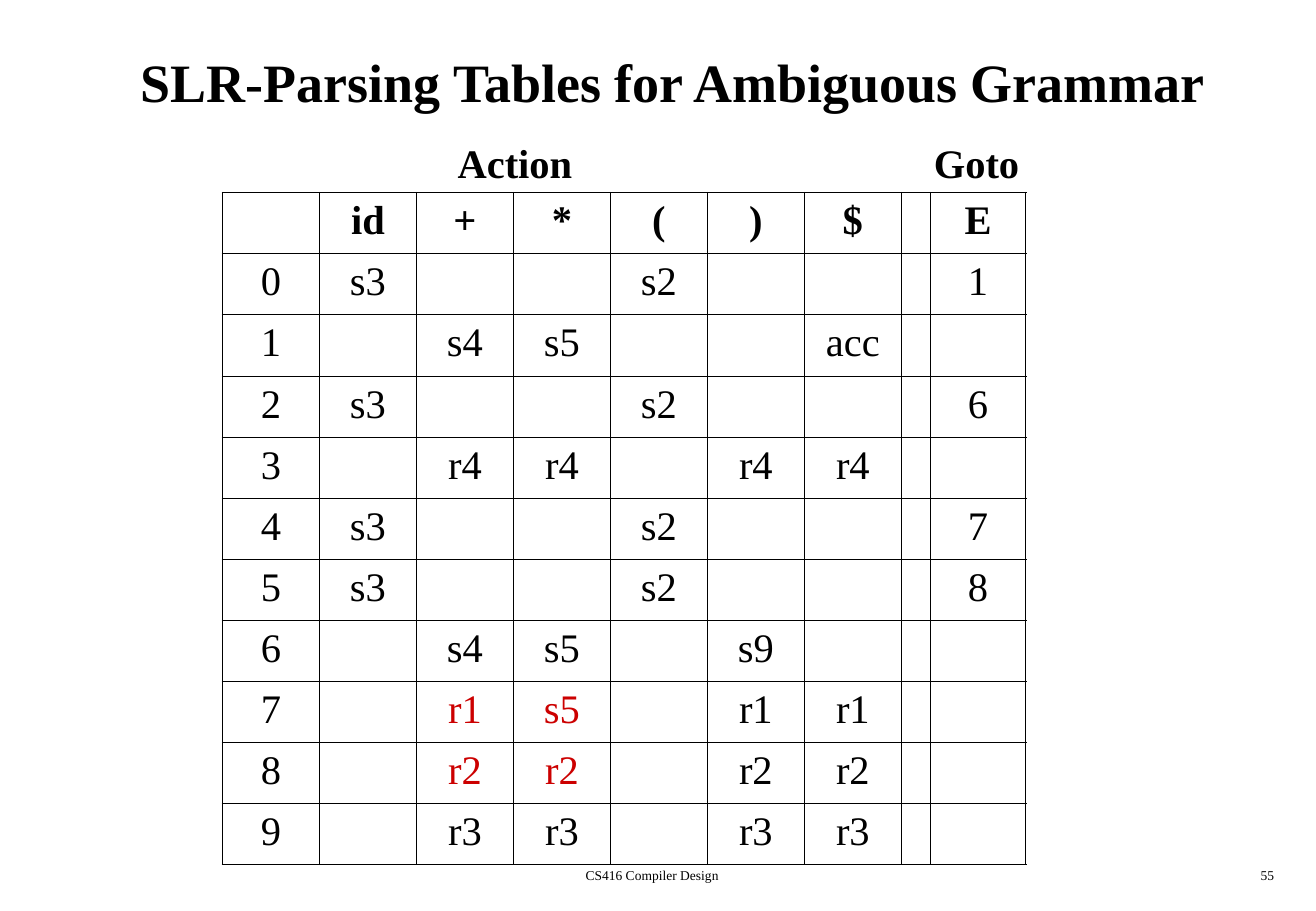
"""Builds the slide with the SLR parsing table of an ambiguous expression grammar."""
from dataclasses import dataclass, field

from lxml import etree
from pptx import Presentation
from pptx import util as u
from pptx.dml.color import RGBColor
from pptx.enum import text
from pptx.oxml import ns
from pptx.slide import Slide
from pptx.table import _Cell
from pptx.text.text import TextFrame


@dataclass(frozen=True)
class Theme:
    font: str = "Times New Roman"
    ink: RGBColor = RGBColor(0, 0, 0)
    conflict: RGBColor = RGBColor(0xCC, 0, 0)
    title_size: float = 32
    body_size: float = 24
    footer_size: float = 8
    inner_line: float = 0.45
    outer_line: float = 1.08


@dataclass(frozen=True)
class Label:
    words: str
    left: float
    top: float
    width: float
    height: float
    size: float
    bold: bool = False
    wrap: bool = True
    align: text.PP_ALIGN = text.PP_ALIGN.CENTER
    anchor: text.MSO_ANCHOR = text.MSO_ANCHOR.TOP


@dataclass(frozen=True)
class State:
    actions: dict[str, str]
    goto: str = ""
    conflicts: set[str] = field(default_factory=set)


THEME = Theme()
SLIDE_WIDTH, SLIDE_HEIGHT = 780.13, 540
TABLE_LEFT, TABLE_TOP = 131.9, 114.2
STATE_WIDTH, GAP_WIDTH, GOTO_WIDTH = 57.5, 17, 56.5
ROW_HEIGHT = 36.2
TERMINALS = ["id", "+", "*", "(", ")", "$"]
HEADER = ["", *TERMINALS, "", "E"]
WIDTHS = [STATE_WIDTH] * (1 + len(TERMINALS)) + [GAP_WIDTH, GOTO_WIDTH]

LEFT, RIGHT = text.PP_ALIGN.LEFT, text.PP_ALIGN.RIGHT
LABELS = [
    Label("SLR-Parsing Tables for Ambiguous Grammar", 30.2, 12.2, 738, 72,
          THEME.title_size, bold=True, anchor=text.MSO_ANCHOR.MIDDLE),
    Label("Action", 264.2, 78.1, 83.5, 36, THEME.body_size, True, False, LEFT),
    Label("Goto", 546.5, 78.1, 66.5, 36, THEME.body_size, True, False, LEFT),
    Label("CS416 Compiler Design", 240.5, 510.5, 292.3, 18, THEME.footer_size),
    Label("55", 599.8, 510.5, 162.7, 18, THEME.footer_size, align=RIGHT),
]


def reduce_by(rule: str) -> dict[str, str]:
    """Return the same reduction for every terminal that may follow E."""
    return dict.fromkeys(["+", "*", ")", "$"], rule)


OPERAND = {"id": "s3", "(": "s2"}
OPERATOR = {"+": "s4", "*": "s5"}
STATES = [
    State(OPERAND, "1"),
    State(OPERATOR | {"$": "acc"}),
    State(OPERAND, "6"),
    State(reduce_by("r4")),
    State(OPERAND, "7"),
    State(OPERAND, "8"),
    State(OPERATOR | {")": "s9"}),
    State(reduce_by("r1") | {"*": "s5"}, conflicts={"+", "*"}),
    State(reduce_by("r2"), conflicts={"+", "*"}),
    State(reduce_by("r3")),
]


def write(frame: TextFrame, words: str, size: float, bold: bool,
          align: text.PP_ALIGN, color: RGBColor) -> None:
    """Put one formatted line of text into a frame."""
    para = frame.paragraphs[0]
    para.alignment = align
    span = para.add_run()
    span.text = words
    formats = {"name": THEME.font, "size": u.Pt(size), "bold": bold}
    for name, value in formats.items():
        setattr(span.font, name, value)
    span.font.color.rgb = color


def draw_label(page: Slide, label: Label) -> None:
    """Draw a text box."""
    sides = (label.left, label.top, label.width, label.height)
    box = page.shapes.add_textbox(*map(u.Pt, sides))
    fit = text.MSO_AUTO_SIZE.NONE if label.wrap else text.MSO_AUTO_SIZE.SHAPE_TO_FIT_TEXT
    formats = {"word_wrap": label.wrap, "auto_size": fit, "vertical_anchor": label.anchor}
    for name, value in formats.items():
        setattr(box.text_frame, name, value)
    write(box.text_frame, label.words, label.size, label.bold, label.align, THEME.ink)


def draw_borders(cell: _Cell, outer: dict[str, bool]) -> None:
    """Rule the four sides of a cell, heavier along the table's edge."""
    properties = cell._tc.get_or_add_tcPr()
    for side, is_outer in outer.items():
        width = THEME.outer_line if is_outer else THEME.inner_line
        line = etree.SubElement(properties, ns.qn(f"a:ln{side}"), w=str(u.Pt(width)))
        fill = etree.SubElement(line, ns.qn("a:solidFill"))
        etree.SubElement(fill, ns.qn("a:srgbClr"), val=str(THEME.ink))


def draw_parsing_table(page: Slide) -> None:
    """Draw the action and goto table."""
    rows = [HEADER]
    for number, state in enumerate(STATES):
        actions = [state.actions.get(terminal, "") for terminal in TERMINALS]
        rows.append([str(number), *actions, "", state.goto])
    sides = (TABLE_LEFT, TABLE_TOP, sum(WIDTHS), ROW_HEIGHT * len(rows))
    table = page.shapes.add_table(len(rows), len(HEADER), *map(u.Pt, sides)).table
    table.first_row = table.horz_banding = False
    for column, width in zip(table.columns, WIDTHS):
        column.width = u.Pt(width)
    for r, words_in_row in enumerate(rows):
        table.rows[r].height = u.Pt(ROW_HEIGHT)
        conflicts = STATES[r - 1].conflicts if r else set()
        for c, words in enumerate(words_in_row):
            cell = table.cell(r, c)
            draw_borders(cell, {"L": c == 0, "R": c == len(HEADER) - 1,
                                "T": r == 0, "B": r == len(rows) - 1})
            cell.fill.background()
            if words:
                color = THEME.conflict if HEADER[c] in conflicts else THEME.ink
                write(cell.text_frame, words, THEME.body_size, r == 0,
                      text.PP_ALIGN.CENTER, color)


def main() -> None:
    """Build and save the deck."""
    deck = Presentation()
    deck.slide_width, deck.slide_height = u.Pt(SLIDE_WIDTH), u.Pt(SLIDE_HEIGHT)
    page = deck.slides.add_slide(deck.slide_layouts[6])
    draw_parsing_table(page)
    for label in LABELS:
        draw_label(page, label)
    deck.save("out.pptx")


if __name__ == "__main__":
    main()
